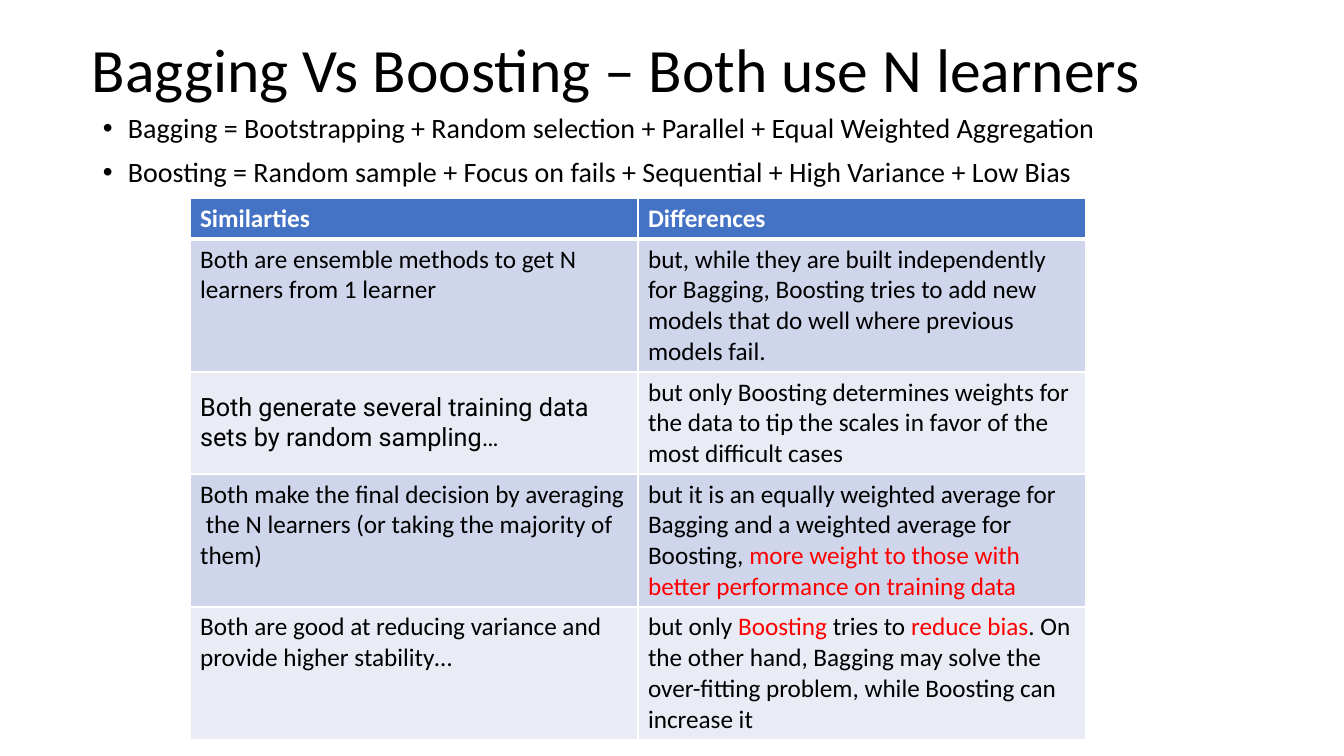
from lxml import etree
from pptx import Presentation
from pptx import util as u
from pptx.dml.color import RGBColor
from pptx.enum import text
from pptx.oxml.ns import qn

PX = 914400 / 100.8
THEME = {
    "font": "Calibri", "alt_font": "Roboto",
    "title": u.Pt(44), "body": u.Pt(20), "cell": u.Pt(18),
    "ink": RGBColor.from_string("000000"),
    "white": RGBColor.from_string("FFFFFF"),
    "accent": RGBColor.from_string("FF0000"),
    "header": RGBColor.from_string("4472C4"),
    "bands": [RGBColor.from_string("E9EBF5"), RGBColor.from_string("CFD5EA")],
}


def px(*lengths):
    """Turn pixel lengths into EMU."""
    return [u.Emu(round(n * PX)) for n in lengths]


def style(p, size, color, font=THEME["font"], bold=False):
    p.font.size, p.font.name, p.font.bold = size, font, bold
    p.font.color.rgb = color


prs = Presentation()
prs.slide_width, prs.slide_height = px(1344, 756)
s = prs.slides.add_slide(prs.slide_layouts[6])

# Title
tf = s.shapes.add_textbox(*px(82, 0, 1159, 146)).text_frame
tf.word_wrap = True
tf.vertical_anchor = text.MSO_ANCHOR.MIDDLE
p = tf.paragraphs[0]
p.text = "Bagging Vs Boosting – Both use N learners"
p.line_spacing = 0.9
style(p, THEME["title"], THEME["ink"])

# Bulleted definitions
definitions = [
    "Bagging = Bootstrapping + Random selection + Parallel + Equal Weighted Aggregation",
    "Boosting = Random sample + Focus on fails + Sequential + High Variance + Low Bias",
]
tf = s.shapes.add_textbox(*px(93, 109, 1159, 218)).text_frame
tf.word_wrap = True
for i, definition in enumerate(definitions):
    p = tf.add_paragraph() if i else tf.paragraphs[0]
    p.text = definition
    p.line_spacing = 0.9
    p.space_before = u.Pt(10)
    style(p, THEME["body"], THEME["ink"])
    pPr = p._p.get_or_add_pPr()
    indent = px(25)[0]
    pPr.set("marL", str(indent))
    pPr.set("indent", str(-indent))
    bullet_font = etree.Element(qn("a:buFont"), typeface="Arial")
    bullet = etree.Element(qn("a:buChar"), char="•")
    pPr.find(qn("a:defRPr")).addprevious(bullet_font)
    bullet_font.addnext(bullet)

# Comparison table: text between bars is shown in the accent colour
rows = [
    ("Similarties", "Differences"),
    ("Both are ensemble methods to get N learners from 1 learner",
     "but, while they are built independently for Bagging, Boosting tries to add new "
     "models that do well where previous models fail."),
    ("Both generate several training data sets by random sampling…",
     "but only Boosting determines weights for the data to tip the scales in favor of "
     "the most difficult cases"),
    ("Both make the final decision by averaging  the N learners (or taking the "
     "majority of them)",
     "but it is an equally weighted average for Bagging and a weighted average for "
     "Boosting, |more weight to those with better performance on training data|"),
    ("Both are good at reducing variance and provide higher stability…",
     "but only |Boosting| tries to |reduce bias|. On the other hand, Bagging may solve "
     "the over-fitting problem, while Boosting can increase it"),
]
row_heights = px(41, 133, 102, 133, 133)
table = s.shapes.add_table(len(rows), 2, *px(190, 198, 896, 542)).table
for column in table.columns:
    column.width = px(448)[0]

for i, row in enumerate(rows):
    table.rows[i].height = row_heights[i]
    for j, words in enumerate(row):
        cell = table.cell(i, j)
        header, sampling = i == 0, (i, j) == (2, 0)
        widths = {"lnL": 1, "lnR": 1, "lnT": 3 if i == 1 else 1, "lnB": 3 if header else 1}
        tcPr = cell._tc.get_or_add_tcPr()
        for side, width in widths.items():
            ln = etree.SubElement(tcPr, qn("a:" + side), w=str(u.Pt(width)))
            fill = etree.SubElement(ln, qn("a:solidFill"))
            etree.SubElement(fill, qn("a:srgbClr"), val=str(THEME["white"]))
        cell.fill.solid()
        cell.fill.fore_color.rgb = THEME["header"] if header else THEME["bands"][i % 2]
        if sampling:
            cell.vertical_anchor = text.MSO_ANCHOR.MIDDLE
        p = cell.text_frame.paragraphs[0]
        style(p, THEME["cell"], THEME["white"] if header else THEME["ink"],
              THEME["alt_font"] if sampling else THEME["font"], header)
        for k, part in enumerate(words.split("|")):
            if part:
                r = p.add_run()
                r.text = part
                if k % 2:
                    r.font.color.rgb = THEME["accent"]

prs.save("out.pptx")
